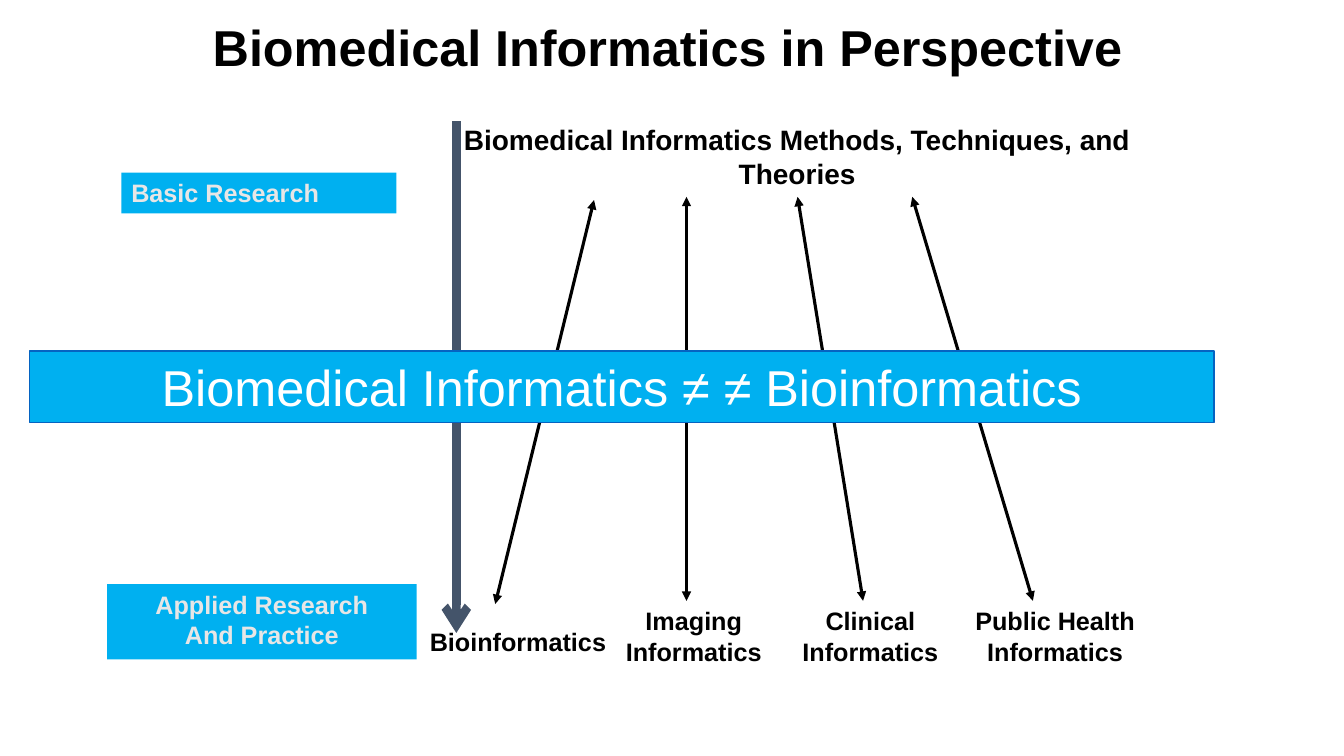
from lxml import etree
from pptx import Presentation
from pptx.dml.color import RGBColor
from pptx.enum import shapes, text
from pptx.oxml import ns
from pptx.util import Cm, Pt

COLORS = {
    "black": "000000",
    "white": "FFFFFF",
    "pale": "E7E6E6",
    "sky": "00B0F0",
    "border": "0563C1",
    "slate": "44546A",
}
LEFT, CENTER = text.PP_ALIGN.LEFT, text.PP_ALIGN.CENTER

prs = Presentation()
prs.slide_width, prs.slide_height = Cm(33.87), Cm(19.05)
slide = prs.slides.add_slide(prs.slide_layouts[6])


def add_label(box, lines, size, color="black", fill=None, align=CENTER, bold=True):
    """Add a text box, or a filled rectangle when a fill is named; box is in cm."""
    area = [Cm(length) for length in box]
    if fill:
        label = slide.shapes.add_shape(shapes.MSO_SHAPE.RECTANGLE, *area)
        label.shadow.inherit = False
        label.fill.solid()
        label.fill.fore_color.rgb = RGBColor.from_string(COLORS[fill])
        label.line.fill.background()
    else:
        label = slide.shapes.add_textbox(*area)
    frame = label.text_frame
    frame.word_wrap = True
    frame.vertical_anchor = text.MSO_ANCHOR.TOP
    frame.text = lines
    for paragraph in frame.paragraphs:
        paragraph.alignment = align
        paragraph.font.name = "Arial"
        paragraph.font.size = Pt(size)
        paragraph.font.bold = bold
        paragraph.font.color.rgb = RGBColor.from_string(COLORS[color])
    return label


def add_arrow(start, end, color, width, **ends):
    """Draw a line between two points in cm; ends maps headEnd/tailEnd to a type."""
    arrow = slide.shapes.add_connector(
        shapes.MSO_CONNECTOR.STRAIGHT, *[Cm(value) for value in start + end])
    arrow.line.color.rgb = RGBColor.from_string(COLORS[color])
    arrow.line.width = Pt(width)
    outline = arrow.line._get_or_add_ln()
    for tag, kind in ends.items():
        etree.SubElement(outline, ns.qn(f"a:{tag}"), type=kind)
    etree.SubElement(arrow._element.spPr, ns.qn("a:effectLst"))


title = add_label((5.11, 0.23, 23.65, 2.06), "Biomedical Informatics in Perspective",
                  36, align=LEFT)
title.text_frame.vertical_anchor = text.MSO_ANCHOR.MIDDLE
title.text_frame.paragraphs[0].line_spacing = 0.9

# Research axis, from basic to applied
add_label((3.06, 4.35, 6.93, 1.03), "Basic Research", 18, "pale", "sky", LEFT)
add_arrow((11.5, 3.06), (11.5, 15.95), "slate", 6, tailEnd="arrow")
add_label((2.7, 14.72, 7.8, 1.9), "Applied Research\nAnd Practice", 18, "pale", "sky")

add_label((11.25, 2.97, 17.68, 1.96),
          "Biomedical Informatics Methods, Techniques, and Theories", 20)

# Fields: label, label box, arrow top, arrow bottom
fields = [
    ("Bioinformatics", (9.45, 15.65, 7.21, 1.19), (14.97, 5.04), (12.48, 15.22)),
    ("Imaging Informatics", (14.83, 15.14, 5.31, 2.08), (17.3, 4.96), (17.3, 15.14)),
    ("Clinical\nInformatics", (19.28, 15.14, 5.31, 2.08), (20.1, 4.96), (21.75, 15.14)),
    ("Public Health Informatics", (23.01, 15.14, 7.16, 2.08), (22.99, 4.96), (26.03, 15.14)),
]
for name, box, top, bottom in fields:
    add_arrow(top, bottom, "black", 2.25, headEnd="triangle", tailEnd="triangle")
    add_label(box, name, 18)

banner = add_label((0.75, 8.85, 29.85, 1.8), "Biomedical Informatics ≠ ≠ Bioinformatics",
                   36, "white", "sky", bold=False)
banner.line.color.rgb = RGBColor.from_string(COLORS["border"])
banner.line.width = Pt(1)

prs.save("out.pptx")
